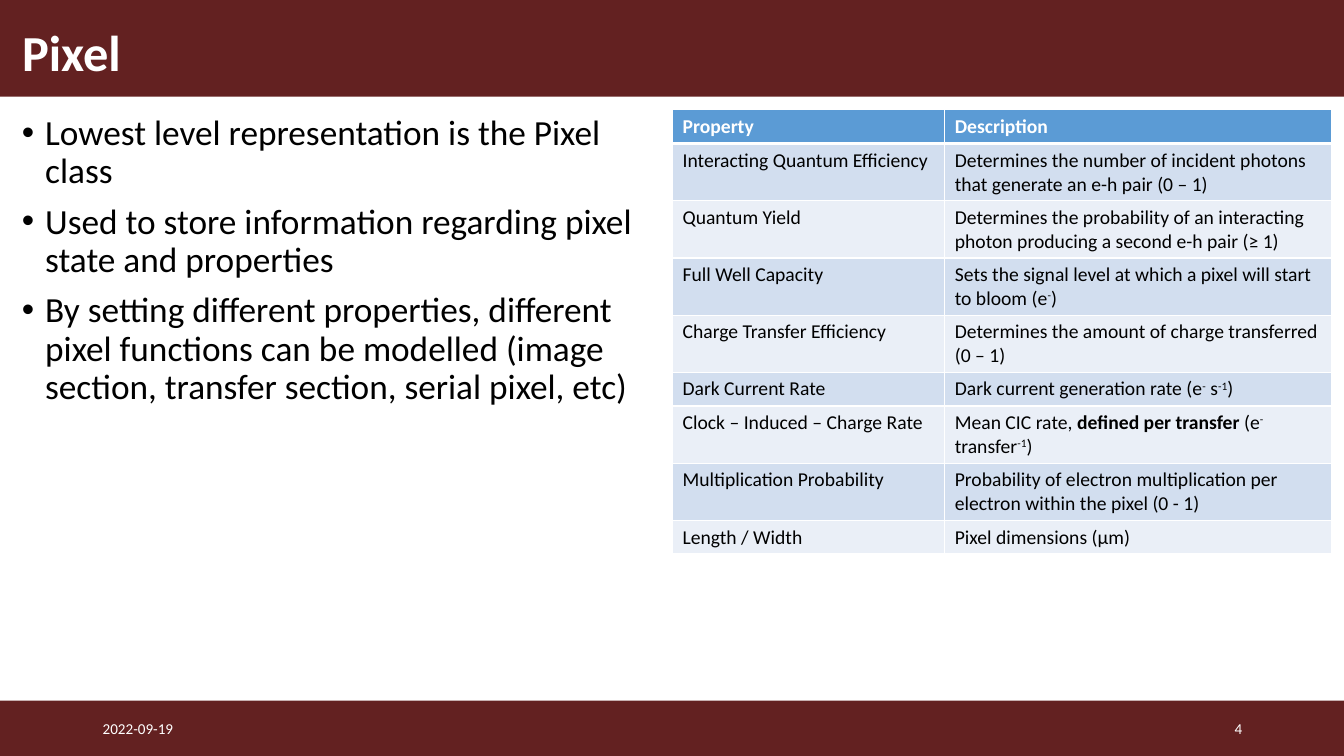
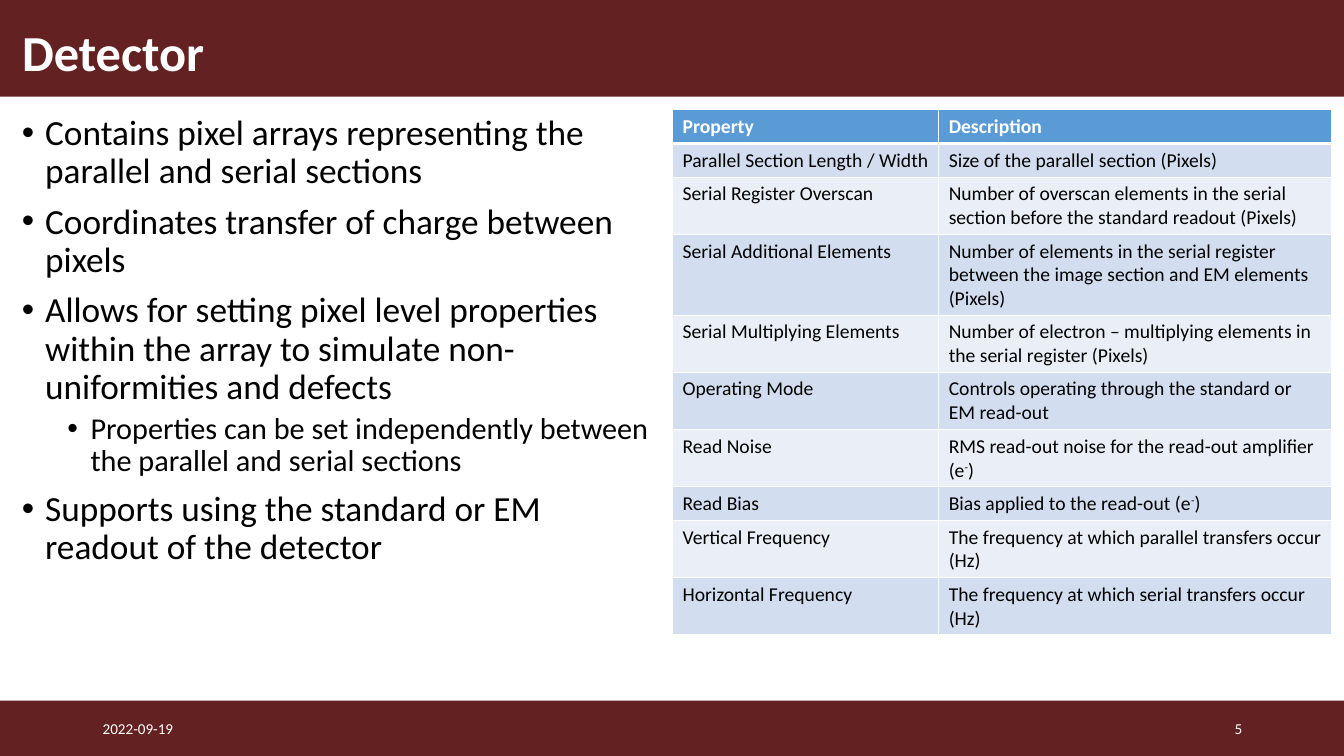
import lxml.etree
import pptx
import pptx.dml.color
import pptx.enum.shapes
import pptx.enum.text
import pptx.oxml.ns
import pptx.util

Inches = pptx.util.Inches
Pt = pptx.util.Pt
ALIGN = pptx.enum.text.PP_ALIGN
ANCHOR = pptx.enum.text.MSO_ANCHOR

FONT = "Calibri"
WHITE, BLACK, MAROON = "FFFFFF", "000000", "632121"
HEAD, STRIPES = "5B9BD5", ("D2DEEF", "EAEFF7")
WIDTH, HEIGHT = 13.33, 7.5
BANDS = ((0, 6.95, WIDTH, 0.55), (0, 0, WIDTH, 0.96))
TITLE = (0.12, 0.13, 10.88, 0.75)
BODY = (0.12, 1.09, 6.54, 5.79)
GRID = (6.67, 1.09, 6.54)
DATE = (0.92, 7.03, 3, 0.4)
NUMBER = (9.42, 7.03, 3, 0.4)
ROW = 0.33
LEVELS = ((25.2, 9, 0.23), (21.6, 4.5, 0.68))
HANG = 0.23

MINUS = ("-", "super")
INVERSE = ("-1", "super")

PIXEL = {
    "title": "Pixel",
    "number": "4",
    "points": [
        (0, "Lowest level representation is the Pixel class"),
        (0, "Used to store information regarding pixel state and properties"),
        (0, "By setting different properties, different pixel functions can be modelled "
            "(image section, transfer section, serial pixel, etc)"),
    ],
    "split": 2.7,
    "rows": [
        ("Interacting Quantum Efficiency",
         ["Determines the number of incident photons that generate an e-h pair (0 – 1)"]),
        ("Quantum Yield",
         ["Determines the probability of an interacting photon producing a second e-h pair (≥ 1)"]),
        ("Full Well Capacity",
         ["Sets the signal level at which a pixel will start to bloom (e", MINUS, ")"]),
        ("Charge Transfer Efficiency",
         ["Determines the amount of charge transferred (0 – 1)"]),
        ("Dark Current Rate",
         ["Dark current generation rate (e", MINUS, " s", INVERSE, ")"]),
        ("Clock – Induced – Charge Rate",
         ["Mean CIC rate, ", ("defined per transfer ", "bold"), "(e", MINUS,
          " transfer", INVERSE, ")"]),
        ("Multiplication Probability",
         ["Probability of electron multiplication per electron within the pixel (0 - 1)"]),
        ("Length / Width", ["Pixel dimensions (µm)"]),
    ],
}

DETECTOR = {
    "title": "Detector",
    "number": "5",
    "points": [
        (0, "Contains pixel arrays representing the parallel and serial sections"),
        (0, "Coordinates transfer of charge between pixels"),
        (0, "Allows for setting pixel level properties within the array to simulate "
            "non-uniformities and defects"),
        (1, "Properties can be set independently between the parallel and serial sections"),
        (0, "Supports using the standard or EM readout of the detector"),
    ],
    "split": 2.64,
    "rows": [
        ("Parallel Section Length / Width", ["Size of the parallel section (Pixels)"]),
        ("Serial Register Overscan",
         ["Number of overscan elements in the serial section before the standard readout (Pixels)"]),
        ("Serial Additional Elements",
         ["Number of elements in the serial register between the image section "
          "and EM elements (Pixels)"]),
        ("Serial Multiplying Elements",
         ["Number of electron – multiplying elements in the serial register (Pixels)"]),
        ("Operating Mode", ["Controls operating through the standard or EM read-out"]),
        ("Read Noise", ["RMS read-out noise for the read-out amplifier (e", MINUS, ")"]),
        ("Read Bias", ["Bias applied to the read-out (e", MINUS, ")"]),
        ("Vertical Frequency", ["The frequency at which parallel transfers occur (Hz)"]),
        ("Horizontal Frequency", ["The frequency at which serial transfers occur (Hz)"]),
    ],
}


def color(value):
    return pptx.dml.color.RGBColor.from_string(value)


def paint(target, value):
    target.fill.solid()
    target.fill.fore_color.rgb = color(value)


def add_run(para, text, size, ink, bold=False):
    run = para.add_run()
    run.text = text
    run.font.name = FONT
    run.font.size = Pt(size)
    run.font.bold = bold
    run.font.color.rgb = color(ink)
    return run


def add_frame(slide, box, anchor):
    frame = slide.shapes.add_textbox(*map(Inches, box)).text_frame
    frame.word_wrap = True
    frame.vertical_anchor = anchor
    return frame


def add_label(slide, box, text, size, bold=False, align=ALIGN.LEFT):
    para = add_frame(slide, box, ANCHOR.MIDDLE).paragraphs[0]
    para.alignment = align
    add_run(para, text, size, WHITE, bold)


def add_bands(slide):
    for box in BANDS:
        band = slide.shapes.add_shape(
            pptx.enum.shapes.MSO_SHAPE.RECTANGLE, *map(Inches, box))
        band.shadow.inherit = False
        band.line.fill.background()
        paint(band, MAROON)


def add_points(slide, box, points):
    frame = add_frame(slide, box, ANCHOR.TOP)
    for index, (level, text) in enumerate(points):
        para = frame.add_paragraph() if index else frame.paragraphs[0]
        size, gap, margin = LEVELS[level]
        props = para._p.get_or_add_pPr()
        props.set("marL", str(Inches(margin)))
        props.set("indent", str(-Inches(HANG)))
        for tag, key, value in (("a:buFont", "typeface", "Arial"), ("a:buChar", "char", "•")):
            lxml.etree.SubElement(props, pptx.oxml.ns.qn(tag)).set(key, value)
        para.level = level
        para.line_spacing = 0.9
        para.space_before = Pt(gap if index else 0)
        add_run(para, text, size, BLACK)


def add_border(cell, side, width):
    line = lxml.etree.SubElement(cell._tc.get_or_add_tcPr(), pptx.oxml.ns.qn("a:" + side))
    line.set("w", str(Pt(width)))
    fill = lxml.etree.SubElement(line, pptx.oxml.ns.qn("a:solidFill"))
    lxml.etree.SubElement(fill, pptx.oxml.ns.qn("a:srgbClr")).set("val", WHITE)


def fill_cell(cell, parts, row):
    head = row == 0
    edges = {"lnL": 1, "lnR": 1, "lnT": 3 if row == 1 else 1, "lnB": 3 if head else 1}
    for side, width in edges.items():
        add_border(cell, side, width)
    paint(cell, HEAD if head else STRIPES[(row - 1) % 2])
    para = cell.text_frame.paragraphs[0]
    for part in parts:
        text, style = (part, "") if isinstance(part, str) else part
        run = add_run(para, text, 14, WHITE if head else BLACK, head or style == "bold")
        if style == "super":
            run._r.get_or_add_rPr().set("baseline", "30000")


def add_grid(slide, box, split, rows):
    left, top, width = box
    lines = [("Property", ["Description"])] + rows
    table = slide.shapes.add_table(
        len(lines), 2, Inches(left), Inches(top), Inches(width), Inches(ROW * len(lines))).table
    for column, span in zip(table.columns, (split, width - split)):
        column.width = Inches(span)
    for row, (name, parts) in enumerate(lines):
        fill_cell(table.cell(row, 0), [name], row)
        fill_cell(table.cell(row, 1), parts, row)


def add_page(deck, page):
    slide = deck.slides.add_slide(deck.slide_layouts[6])
    add_bands(slide)
    add_label(slide, TITLE, page["title"], 36, bold=True)
    add_points(slide, BODY, page["points"])
    add_label(slide, DATE, "2022-09-19", 10.8)
    add_label(slide, NUMBER, page["number"], 10.8, align=ALIGN.RIGHT)
    add_grid(slide, GRID, page["split"], page["rows"])


def main():
    deck = pptx.Presentation()
    deck.slide_width = Inches(WIDTH)
    deck.slide_height = Inches(HEIGHT)
    for page in (PIXEL, DETECTOR):
        add_page(deck, page)
    deck.save("out.pptx")


if __name__ == "__main__":
    main()
